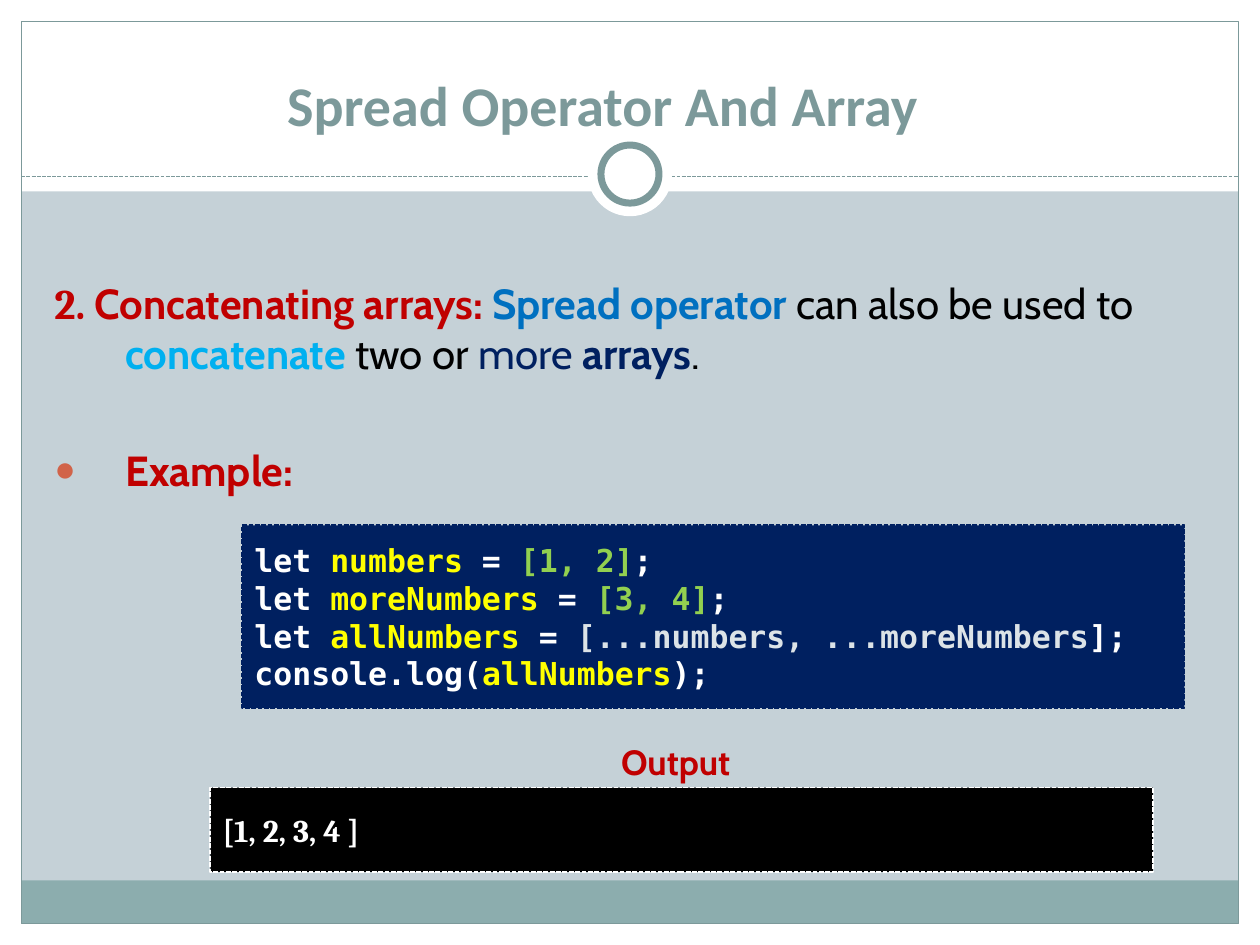
from dataclasses import dataclass
from typing import Optional

from lxml import etree
from pptx import Presentation
from pptx.dml.color import RGBColor
from pptx.enum.dml import MSO_LINE
from pptx.enum.shapes import MSO_CONNECTOR, MSO_SHAPE
from pptx.enum.text import MSO_ANCHOR, MSO_AUTO_SIZE, PP_ALIGN
from pptx.oxml.ns import qn
from pptx.util import Cm, Pt

WHITE, BLACK, NAVY, RED = "FFFFFF", "000000", "002060", "C00000"
TEAL, YELLOW, GREEN, PALE = "7C999A", "FFFF00", "92D050", "DCE3E7"
WIDTH, HEIGHT, MARGIN = 25.4, 19.05, 0.43
INNER = WIDTH - 2 * MARGIN


@dataclass
class Box:
    """A place on the slide, in centimetres."""
    left: float
    top: float
    width: float
    height: float

    def lengths(self) -> tuple:
        return Cm(self.left), Cm(self.top), Cm(self.width), Cm(self.height)


@dataclass
class Span:
    """A stretch of text in one format."""
    text: str
    color: str
    bold: bool = True
    font: Optional[str] = None


def rgb(value: str) -> RGBColor:
    return RGBColor.from_string(value)


def style_line(line, color: str, points: float, dashed: bool = False) -> None:
    line.color.rgb = rgb(color)
    line.width = Pt(points)
    if dashed:
        line.dash_style = MSO_LINE.SQUARE_DOT


def add_panel(slide, box: Box, fill: Optional[str], line: Optional[str] = None,
              points: float = 0.75, dashed: bool = False, kind=MSO_SHAPE.RECTANGLE):
    shape = slide.shapes.add_shape(kind, *box.lengths())
    shape.shadow.inherit = False
    if fill:
        shape.fill.solid()
        shape.fill.fore_color.rgb = rgb(fill)
    else:
        shape.fill.background()
    if line:
        style_line(shape.line, line, points, dashed)
    else:
        shape.line.fill.background()
    return shape


def place(shape, box: Box) -> None:
    """Move a placeholder into its box, in front of the frame."""
    shape.left, shape.top, shape.width, shape.height = box.lengths()
    shape.element.getparent().append(shape.element)
    shape.text_frame.auto_size = MSO_AUTO_SIZE.NONE


def add_spans(paragraph, spans: list[Span], font: str, size: float) -> None:
    for span in spans:
        run = paragraph.add_run()
        run.text = span.text
        run.font.name = span.font or font
        run.font.size = Pt(size)
        run.font.bold = span.bold
        run.font.color.rgb = rgb(span.color)


def write_lines(text_frame, lines: list[list[Span]], font: str, size: float,
                align=PP_ALIGN.LEFT) -> None:
    for index, spans in enumerate(lines):
        paragraph = text_frame.add_paragraph() if index else text_frame.paragraphs[0]
        paragraph.alignment = align
        add_spans(paragraph, spans, font, size)


def set_bullet(paragraph, character: Optional[str] = None, color: str = BLACK) -> None:
    """Give a hanging indent, with a bullet or without one."""
    properties = paragraph._p.get_or_add_pPr()
    properties.set("marL", str(Cm(1.43)))
    properties.set("indent", str(-Cm(1.43)))
    if not character:
        etree.SubElement(properties, qn("a:buNone"))
        return
    bullet_color = etree.SubElement(properties, qn("a:buClr"))
    etree.SubElement(bullet_color, qn("a:srgbClr"), val=color)
    etree.SubElement(properties, qn("a:buSzPct"), val="85000")
    etree.SubElement(properties, qn("a:buChar"), char=character)


def add_frame(slide) -> None:
    # White edges and the footer band
    for box, fill in (
        (Box(0, HEIGHT - MARGIN, WIDTH, MARGIN), WHITE),
        (Box(0, 0, WIDTH, 3.86), WHITE),
        (Box(0, 0, MARGIN, HEIGHT), WHITE),
        (Box(WIDTH - MARGIN, 0, MARGIN, HEIGHT), WHITE),
        (Box(MARGIN, 17.75, INNER, 0.87), "8CADAE"),
    ):
        add_panel(slide, box, fill)
    add_panel(slide, Box(MARGIN, MARGIN, INNER, HEIGHT - 2 * MARGIN), None, TEAL)

    # Dashed rule under the title
    rule = slide.shapes.add_connector(
        MSO_CONNECTOR.STRAIGHT, Cm(MARGIN), Cm(3.56), Cm(WIDTH - MARGIN), Cm(3.56))
    style_line(rule.line, TEAL, 0.75, dashed=True)
    etree.SubElement(rule.element.spPr, qn("a:effectLst"))

    # Ring on the rule
    for diameter, line in ((1.7, None), (1.17, TEAL)):
        box = Box((WIDTH - diameter) / 2, 3.51 - diameter / 2, diameter, diameter)
        add_panel(slide, box, WHITE, line, points=4, kind=MSO_SHAPE.OVAL)


def main() -> None:
    presentation = Presentation()
    presentation.slide_width, presentation.slide_height = Cm(WIDTH), Cm(HEIGHT)
    slide = presentation.slides.add_slide(presentation.slide_layouts[1])
    slide.background.fill.solid()
    slide.background.fill.fore_color.rgb = rgb("C5D1D7")
    add_frame(slide)

    # Title
    title = slide.shapes.title
    place(title, Box(0.3, 0.8, 23.7, 2.1))
    title.text_frame.vertical_anchor = MSO_ANCHOR.BOTTOM
    write_lines(title.text_frame, [[Span("Spread Operator And Array", TEAL)]],
                "Calibri", 32, PP_ALIGN.CENTER)

    # Explanation
    body = slide.placeholders[1]
    place(body, Box(0.84, 5.46, 23.62, 12.27))
    write_lines(body.text_frame, [
        [Span("2. ", RED, font="Cambria"), Span("Concatenating arrays: ", RED),
         Span("Spread operator ", "0070C0"), Span("can also be used to ", BLACK, False),
         Span("concatenate", "00B0F0"), Span(" two or ", BLACK, False),
         Span("more ", NAVY, False), Span("arrays", NAVY), Span(".", BLACK, False)],
        [Span("Example:", RED)],
    ], "Cabin", 24)
    statement, example = body.text_frame.paragraphs
    set_bullet(statement)
    set_bullet(example, "●", "D16349")
    statement.space_before = Pt(0)
    example.space_before = Pt(38)

    # Code
    code = add_panel(slide, Box(4.88, 10.59, 19, 3.68), NAVY, NAVY, 0.9, dashed=True)
    write_lines(code.text_frame, [
        [Span("let ", WHITE), Span("numbers ", YELLOW), Span("= ", WHITE),
         Span("[1, 2]", GREEN), Span(";", WHITE)],
        [Span("let ", WHITE), Span("moreNumbers", YELLOW), Span(" = ", WHITE),
         Span("[3, 4]", GREEN), Span(";", WHITE)],
        [Span("let ", WHITE), Span("allNumbers", YELLOW), Span(" = ", WHITE),
         Span("[...numbers, ...moreNumbers", PALE), Span("];", WHITE)],
        [Span("console.log(", WHITE), Span("allNumbers", YELLOW), Span(");", WHITE)],
    ], "DejaVu Sans Mono", 18)

    # Output
    output = add_panel(slide, Box(4.24, 15.88, 19, 1.7), BLACK, WHITE, 0.9, dashed=True)
    write_lines(output.text_frame, [[Span("[1, 2, 3, 4 ]", WHITE)]], "Cambria", 18)
    label = slide.shapes.add_textbox(*Box(12.27, 14.81, 2.84, 1.12).lengths())
    label.text_frame.word_wrap = False
    write_lines(label.text_frame, [[Span("Output", RED)]], "Cabin", 20)

    presentation.save("out.pptx")


if __name__ == "__main__":
    main()
